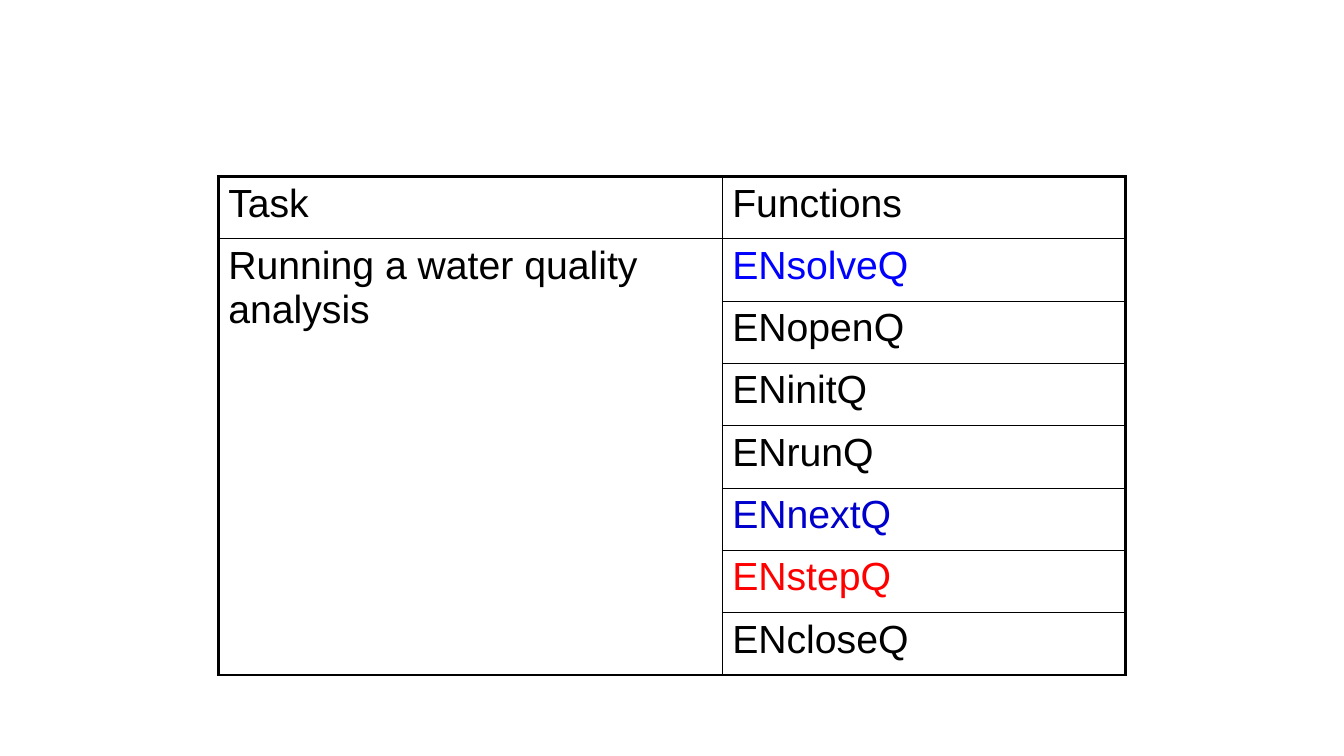
from dataclasses import dataclass

import pptx
import pptx.dml.color
import pptx.oxml
import pptx.oxml.ns
import pptx.util
from pptx.util import Cm


@dataclass(frozen=True)
class Theme:
    font: str = "Arial"
    size: int = 28
    black: str = "000000"
    blue: str = "0000FF"
    dark_blue: str = "0000CC"
    red: str = "FF0000"
    inner_line: float = 1
    outer_line: float = 2.25


THEME = Theme()
TASK = "Running a water quality analysis"
FUNCTIONS = [
    ("ENsolveQ", THEME.blue),
    ("ENopenQ", THEME.black),
    ("ENinitQ", THEME.black),
    ("ENrunQ", THEME.black),
    ("ENnextQ", THEME.dark_blue),
    ("ENstepQ", THEME.red),
    ("ENcloseQ", THEME.black),
]
COLUMN_WIDTHS = [Cm(12.7), Cm(10.16)]
ROW_HEIGHT = Cm(1.57)


def write_cell(cell, text, color=THEME.black):
    cell.text = text
    paragraph = cell.text_frame.paragraphs[0]
    paragraph.font.name = THEME.font
    paragraph.font.size = pptx.util.Pt(THEME.size)
    paragraph.font.color.rgb = pptx.dml.color.RGBColor.from_string(color)


def add_border(cell, side, points):
    width = int(pptx.util.Pt(points))
    cell._tc.get_or_add_tcPr().append(pptx.oxml.parse_xml(
        f'<a:ln{side} {pptx.oxml.ns.nsdecls("a")} w="{width}">'
        f'<a:solidFill><a:srgbClr val="{THEME.black}"/></a:solidFill>'
        f'</a:ln{side}>'
    ))


def style_cell(table, row, column):
    cell = table.cell(row, column)
    last_row = len(table.rows) - 1
    last_column = len(table.columns) - 1
    bottom_row = row + cell.span_height - 1 if cell.is_merge_origin else row
    on_outside = {
        "L": column == 0,
        "R": column == last_column,
        "T": row == 0,
        "B": bottom_row == last_row,
    }
    for side, outside in on_outside.items():
        inside_merge = cell.is_spanned and side in "TB" and not outside
        if not inside_merge:
            add_border(cell, side, THEME.outer_line if outside else THEME.inner_line)
    cell.fill.background()


def add_function_table(slide, left, top):
    row_count = len(FUNCTIONS) + 1
    table = slide.shapes.add_table(
        row_count, len(COLUMN_WIDTHS), left, top,
        sum(COLUMN_WIDTHS), ROW_HEIGHT * row_count,
    ).table
    table.first_row = False
    table.horz_banding = False
    for column, width in zip(table.columns, COLUMN_WIDTHS):
        column.width = width
    for row in table.rows:
        row.height = ROW_HEIGHT

    table.cell(1, 0).merge(table.cell(row_count - 1, 0))
    write_cell(table.cell(0, 0), "Task")
    write_cell(table.cell(0, 1), "Functions")
    write_cell(table.cell(1, 0), TASK)
    for row, (name, color) in enumerate(FUNCTIONS, start=1):
        write_cell(table.cell(row, 1), name, color)
    for row in range(row_count):
        for column in range(len(COLUMN_WIDTHS)):
            style_cell(table, row, column)


def main():
    presentation = pptx.Presentation()
    presentation.slide_width = Cm(33.87)
    presentation.slide_height = Cm(19.05)
    slide = presentation.slides.add_slide(presentation.slide_layouts[6])
    add_function_table(slide, Cm(5.5), Cm(4.45))
    presentation.save("out.pptx")


main()
